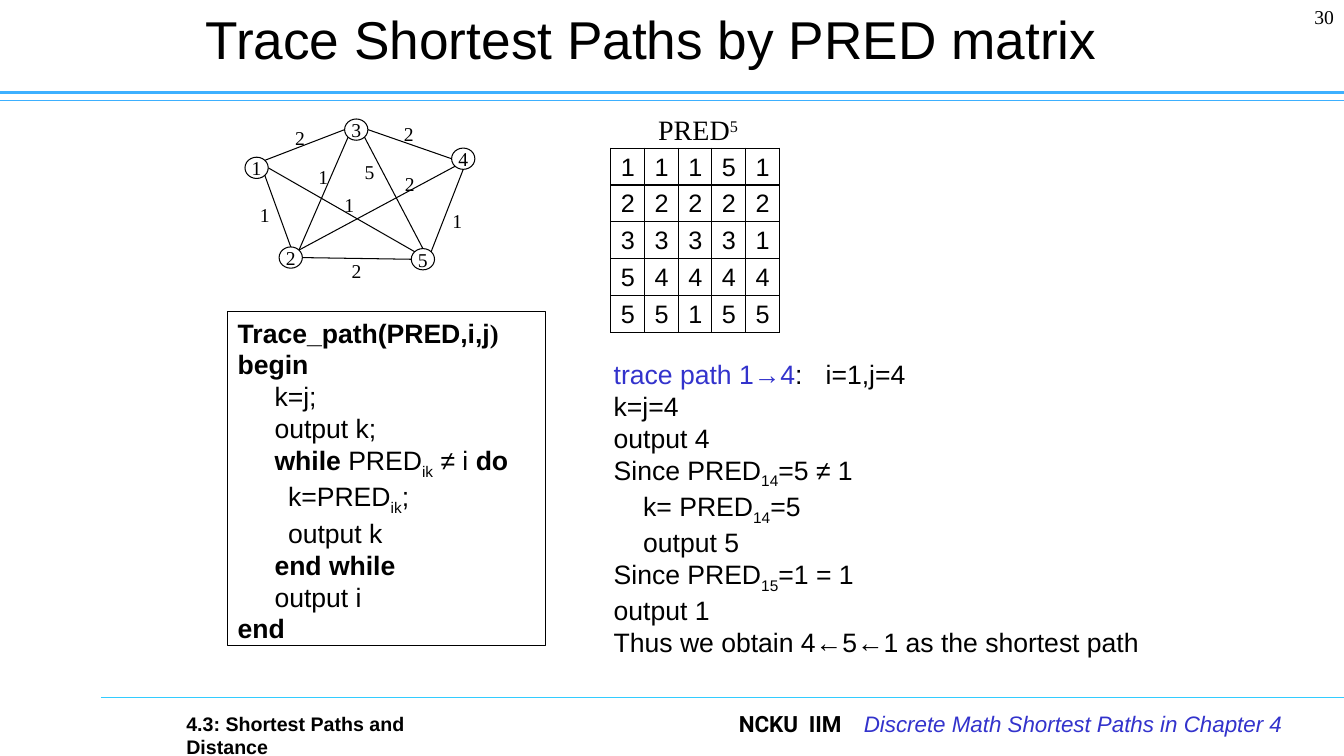
import math
from dataclasses import dataclass

from lxml import etree
from pptx import Presentation
from pptx import util as u
from pptx.dml.color import RGBColor
from pptx.enum import shapes, text
from pptx.oxml import ns

Pt = u.Pt
AL = text.PP_ALIGN


@dataclass(frozen=True)
class Theme:
    ink: str = "000000"
    blue: str = "3333CC"
    rule: str = "3DB0FF"
    foot: str = "33CCFF"
    sans: str = "Arial"
    serif: str = "Times New Roman"
    brand: str = "Roboto"
    title: int = 38
    pred: int = 20
    code: int = 19
    cell: int = 18
    note: int = 16
    small: int = 14


class Deck:
    def __init__(self, theme):
        self.th = theme
        self.prs = Presentation()
        self.prs.slide_width, self.prs.slide_height = Pt(960), Pt(540)
        self.slide = self.prs.slides.add_slide(self.prs.slide_layouts[6])

    def style(self, run, marks, size, face):
        """Marks: b bold, i italic, c blue, s serif, r brand face, - subscript, + superscript."""
        th, font = self.th, run.font
        font.size = Pt(size)
        font.name = th.serif if "s" in marks else th.brand if "r" in marks else face
        font.bold, font.italic = "b" in marks, "i" in marks
        font.color.rgb = RGBColor.from_string(th.blue if "c" in marks else th.ink)
        for mark, base in (("-", "-25000"), ("+", "30000")):
            if mark in marks:
                run.font._element.set("baseline", base)

    def fill(self, frame, paras, size, face, align=AL.LEFT):
        """Each paragraph is a string or a list of (text, marks) pairs."""
        for k, parts in enumerate(paras):
            par = frame.add_paragraph() if k else frame.paragraphs[0]
            par.alignment = align
            if isinstance(parts, str):
                parts = [(parts, "")]
            for words, marks in parts:
                run = par.add_run()
                run.text = words
                self.style(run, marks, size, face)

    def text(self, x, y, w, h, paras, size, face=None, align=AL.LEFT,
             wrap=True, anchor=text.MSO_ANCHOR.TOP):
        box = self.slide.shapes.add_textbox(Pt(x), Pt(y), Pt(w), Pt(h))
        frame = box.text_frame
        frame.word_wrap, frame.vertical_anchor = wrap, anchor
        self.fill(frame, paras, size, face or self.th.sans, align)
        return frame

    def shape(self, kind, x, y, w, h):
        item = self.slide.shapes.add_shape(kind, Pt(x), Pt(y), Pt(w), Pt(h))
        item.shadow.inherit = False
        item.fill.background()
        item.line.color.rgb = RGBColor.from_string(self.th.ink)
        item.line.width = Pt(0.75)
        return item

    def node(self, x, y, w, h, name):
        frame = self.shape(shapes.MSO_SHAPE.FLOWCHART_CONNECTOR, x, y, w, h).text_frame
        frame.margin_left = frame.margin_right = frame.margin_top = frame.margin_bottom = 0
        frame.word_wrap, frame.vertical_anchor = False, text.MSO_ANCHOR.MIDDLE
        self.fill(frame, [name], self.th.small, self.th.serif, AL.CENTER)

    def panel(self, x, y, w, h, paras, size):
        frame = self.shape(shapes.MSO_SHAPE.RECTANGLE, x, y, w, h).text_frame
        frame.word_wrap, frame.vertical_anchor = True, text.MSO_ANCHOR.TOP
        self.fill(frame, paras, size, self.th.sans)

    def line(self, a, b, color, width=0.75):
        item = self.slide.shapes.add_connector(
            shapes.MSO_CONNECTOR.STRAIGHT, *(Pt(v) for v in (*a, *b)))
        item.line.color.rgb = RGBColor.from_string(color)
        item.line.width = Pt(width)
        etree.SubElement(item._element.spPr, ns.qn("a:effectLst"))

    def tabs(self, par, stops):
        tabs = etree.SubElement(par._p.get_or_add_pPr(), ns.qn("a:tabLst"))
        for stop in stops:
            etree.SubElement(tabs, ns.qn("a:tab"), pos=str(Pt(stop)), algn="l")

    def indent(self, par, left):
        par._p.get_or_add_pPr().set("marL", str(Pt(left)))

    def border(self, cell):
        props = cell._tc.get_or_add_tcPr()
        for k, side in enumerate(("lnL", "lnR", "lnT", "lnB")):
            edge = etree.Element(ns.qn("a:" + side), w=str(Pt(1)))
            paint = etree.SubElement(edge, ns.qn("a:solidFill"))
            etree.SubElement(paint, ns.qn("a:srgbClr"), val=self.th.ink)
            props.insert(k, edge)

    def grid(self, x, y, w, h, rows):
        table = self.slide.shapes.add_table(
            len(rows), len(rows[0]), Pt(x), Pt(y), Pt(w), Pt(h)).table
        table.first_row = table.horz_banding = False
        for col in table.columns:
            col.width = Pt(w / len(rows[0]))
        for row, vals in zip(table.rows, rows):
            row.height = Pt(h / len(rows))
            for cell, val in zip(row.cells, vals):
                cell.margin_left, cell.margin_top = Pt(7.2), Pt(3.6)
                cell.margin_right = cell.margin_bottom = 0
                cell.fill.background()
                self.border(cell)
                self.fill(cell.text_frame, [val], self.th.cell, self.th.sans)


NODE_W, NODE_H = 16.6, 15.2
NODES = {"1": (175, 112.3), "2": (199.4, 176.4), "3": (246.2, 85),
         "4": (322.6, 105.8), "5": (293.8, 177.6)}
SIDES = ("E", "SE", "S", "SW", "W", "NW", "N", "NE")
# Start node and side, end node and side, label and its place
EDGES = [
    ("1", "SE", "2", "N", "1", 178.6, 141.1),
    ("2", "NE", "3", "SW", "1", 220.3, 114.5),
    ("3", "E", "4", "W", "2", 281.5, 83.5),
    ("3", "SE", "5", "N", "5", 253.4, 110.9),
    ("4", "S", "5", "NE", "1", 316.1, 145.4),
    ("4", "SW", "2", "NE", "2", 282.2, 119.5),
    ("5", "W", "2", "E", "2", 244.1, 181.4),
    ("1", "E", "5", "NW", "1", 239, 134.6),
    ("1", "NE", "3", "W", "2", 203.8, 86.4),
]
PRED = ["11151", "22222", "33331", "54444", "55155"]
CODE = [
    [("Trace_path(PRED,i,j", "b"), (")", "bs")],
    [("begin", "b")],
    "     k=j;",
    "     output k;",
    [("     ", ""), ("while", "b"), (" PRED", ""), ("ik", "-"), (" ≠ i ", ""), ("do", "b")],
    [("\tk=PRED", ""), ("ik", "-"), (";", "")],
    "\toutput k",
    [("     end while", "b")],
    "     output i",
    [("end", "b")],
]
TRACE = [
    [("trace path 1→4", "c"), (":\ti=1,j=4", "")],
    "k=j=4",
    "output 4",
    [("Since PRED", ""), ("14", "-"), ("=5 ≠ 1", "")],
    [("k= PRED", ""), ("14", "-"), ("=5", "")],
    "output 5",
    [("Since PRED", ""), ("15", "-"), ("=1 = 1", "")],
    "output 1",
    "Thus we obtain 4←5←1 as the shortest path",
]


def site(name, side):
    """Point on a node's rim in a compass direction."""
    x, y = NODES[name]
    turn = SIDES.index(side) * math.pi / 4
    return (x + NODE_W / 2 * (1 + math.cos(turn)), y + NODE_H / 2 * (1 + math.sin(turn)))


def main():
    th = Theme()
    deck = Deck(th)
    for left, y, color, width in ((0, 72, th.rule, 0.75), (0, 66, th.rule, 2.5),
                                  (72, 498, th.foot, 0.75)):
        deck.line((left, y), (960, y), color, width)
    foot = deck.text(520.6, 504, 420, 36, [[
        ("NCKU\tIIM\t", "br"), ("Discrete Math Shortest Paths in Chapter 4", "ci")]], th.note)
    deck.tabs(foot.paragraphs[0], (50, 89.3))
    deck.text(880, 0, 80, 36, ["30"], th.small, th.serif, AL.RIGHT)
    deck.text(125.3, 0, 680, 54, ["Trace Shortest Paths by PRED matrix"], th.title,
              align=AL.CENTER, anchor=text.MSO_ANCHOR.MIDDLE)
    deck.grid(436.3, 105.8, 120.4, 131.8, PRED)
    deck.text(463, 77, 72.7, 31.7, [[("PRED", "s"), ("5", "s+")]], th.pred, wrap=False)
    for name, (x, y) in NODES.items():
        deck.node(x, y, NODE_W, NODE_H, name)
    for start, out, end, into, cost, x, y in EDGES:
        deck.line(site(start, out), site(end, into), th.ink)
        deck.text(x, y, 21.6, 24, [cost], th.small, th.serif, wrap=False)
    deck.panel(162.7, 222.5, 226.8, 238.3, CODE, th.code)
    trace = deck.text(431.3, 252, 394.6, 214.6, TRACE, th.code, wrap=False)
    deck.tabs(trace.paragraphs[0], [151.4])
    for par in trace.paragraphs[4:6]:
        deck.indent(par, 21.1)
    deck.text(126, 504.7, 231.8, 23.8, [[("4.3: Shortest Paths and Distance", "b")]], th.small)
    deck.prs.save("out.pptx")


if __name__ == "__main__":
    main()
